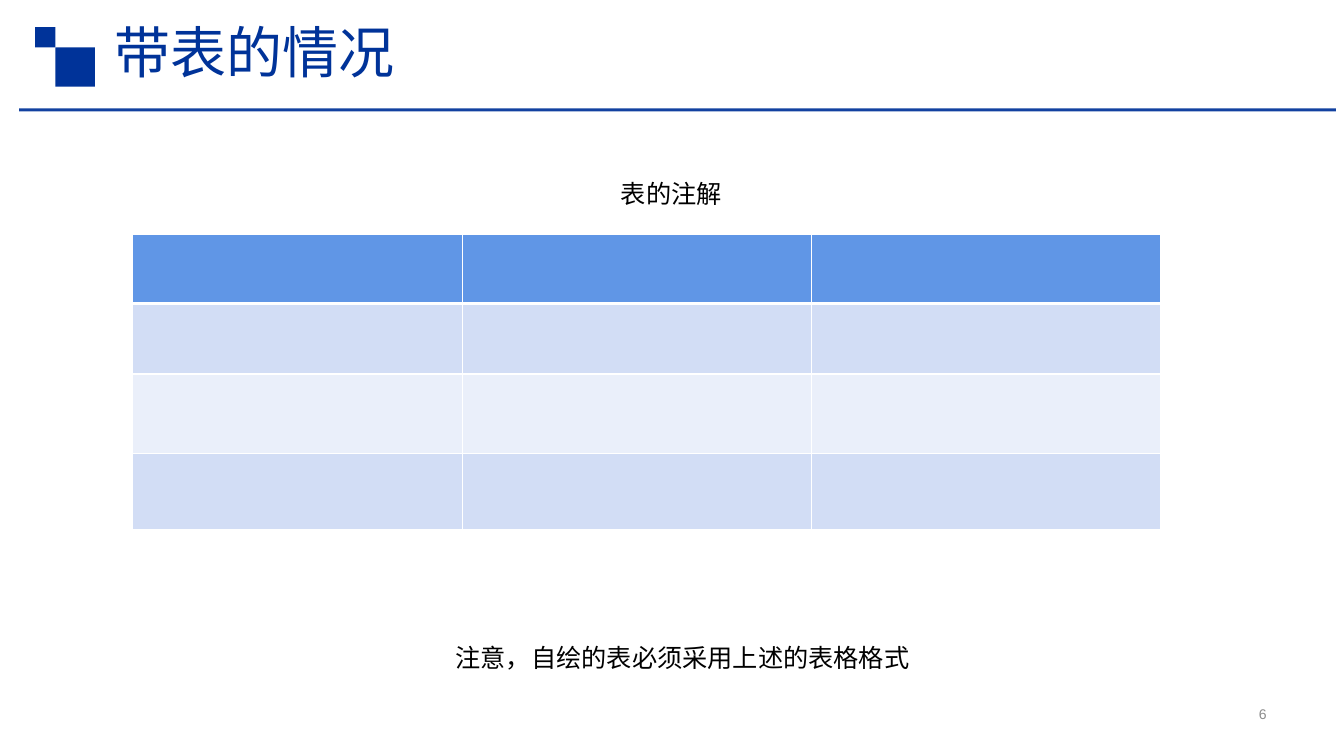
from lxml import etree
from pptx import Presentation
from pptx.dml.color import RGBColor
from pptx.enum.shapes import MSO_CONNECTOR, MSO_SHAPE
from pptx.enum.text import MSO_ANCHOR, MSO_AUTO_SIZE, PP_ALIGN
from pptx.oxml.ns import qn
from pptx.util import Inches, Pt

STRAIGHT = MSO_CONNECTOR.STRAIGHT
RECTANGLE = MSO_SHAPE.RECTANGLE
TOP, MIDDLE = MSO_ANCHOR.TOP, MSO_ANCHOR.MIDDLE
LEFT, RIGHT = PP_ALIGN.LEFT, PP_ALIGN.RIGHT
GROW = MSO_AUTO_SIZE.SHAPE_TO_FIT_TEXT
NO_FIT = MSO_AUTO_SIZE.NONE

NAVY, BLACK, GRAY, WHITE = "003399", "000000", "8C8C8C", "FFFFFF"
HEADER_FILL = "6096E6"
BAND_FILLS = ["EAEFFA", "D2DDF5"]
CHINESE_FONT = "Noto Sans CJK SC"
LATIN_FONT = "Arial"


def color(value):
    return RGBColor.from_string(value)


def add_element(parent, tag, **attributes):
    return etree.SubElement(parent, qn(tag), attributes)


class SlideBuilder:
    def __init__(self, slide):
        self.slide = slide

    def text(self, box, content, size, font=LATIN_FONT, fill=BLACK,
             align=LEFT, anchor=TOP, wrap=True, fit=GROW):
        shape = self.slide.shapes.add_textbox(*map(Inches, box))
        frame = shape.text_frame
        frame.word_wrap = wrap
        frame.auto_size = fit
        frame.vertical_anchor = anchor
        paragraph = frame.paragraphs[0]
        paragraph.alignment = align
        run = paragraph.add_run()
        run.text = content
        run.font.size = Pt(size)
        run.font.color.rgb = color(fill)
        run.font.name = font
        add_element(run.font._element, "a:ea", typeface=CHINESE_FONT)

    def squares(self, boxes, fill):
        group = self.slide.shapes.add_group_shape()
        for left, top, side in boxes:
            shape = group.shapes.add_shape(
                RECTANGLE, Inches(left), Inches(top), Inches(side), Inches(side))
            shape.shadow.inherit = False
            shape.fill.solid()
            shape.fill.fore_color.rgb = color(fill)
            shape.line.fill.background()

    def rule(self, left, right, top, stroke, width, opacity):
        """Draw a horizontal line; opacity is a percentage."""
        line = self.slide.shapes.add_connector(
            STRAIGHT, Inches(left), Inches(top), Inches(right), Inches(top))
        line.line.color.rgb = color(stroke)
        line.line.width = Pt(width)
        properties = line._element.spPr
        stroke_color = properties.find(".//" + qn("a:srgbClr"))
        add_element(stroke_color, "a:alpha", val=str(opacity * 1000))
        add_element(properties, "a:effectLst")

    def cell_borders(self, cell, widths):
        properties = cell._tc.get_or_add_tcPr()
        for side, width in widths.items():
            border = add_element(properties, f"a:ln{side}", w=str(Pt(width)))
            fill = add_element(border, "a:solidFill")
            add_element(fill, "a:srgbClr", val=WHITE)

    def table(self, left, top, column_widths, row_heights):
        """Add an empty table with a header row and banded body rows."""
        frame = self.slide.shapes.add_table(
            len(row_heights), len(column_widths), Inches(left), Inches(top),
            Inches(sum(column_widths)), Inches(sum(row_heights)))
        table = frame.table
        for column, width in zip(table.columns, column_widths):
            column.width = Inches(width)
        for index, (row, height) in enumerate(zip(table.rows, row_heights)):
            row.height = Inches(height)
            fill = BAND_FILLS[index % 2] if index else HEADER_FILL
            widths = {"L": 1, "R": 1, "T": 3 if index == 1 else 1,
                      "B": 3 if index == 0 else 1}
            for cell in row.cells:
                self.cell_borders(cell, widths)
                cell.fill.solid()
                cell.fill.fore_color.rgb = color(fill)


def main():
    presentation = Presentation()
    presentation.slide_width = Inches(13.33)
    presentation.slide_height = Inches(7.5)
    slide = presentation.slides.add_slide(presentation.slide_layouts[6])
    builder = SlideBuilder(slide)

    builder.text((1.04, 0.12, 5.37, 0.77), "带表的情况", 40, CHINESE_FONT, NAVY)
    builder.squares([(0.55, 0.47, 0.39), (0.35, 0.27, 0.2)], NAVY)
    builder.rule(0.19, 13.25, 1.09, NAVY, 2.25, 93)
    builder.text((9.71, 6.91, 2.95, 0.35), "6", 10, fill=GRAY,
                 align=RIGHT, anchor=MIDDLE, fit=NO_FIT)
    builder.table(1.31, 2.33, [3.28, 3.46, 3.46], [0.68, 0.7, 0.79, 0.75])
    builder.text((6.06, 1.72, 1.21, 0.4), "表的注解", 18, wrap=False)
    builder.text((4.42, 6.32, 4.75, 0.4),
                 "注意，自绘的表必须采用上述的表格格式", 18, wrap=False)

    presentation.save("out.pptx")


if __name__ == "__main__":
    main()
